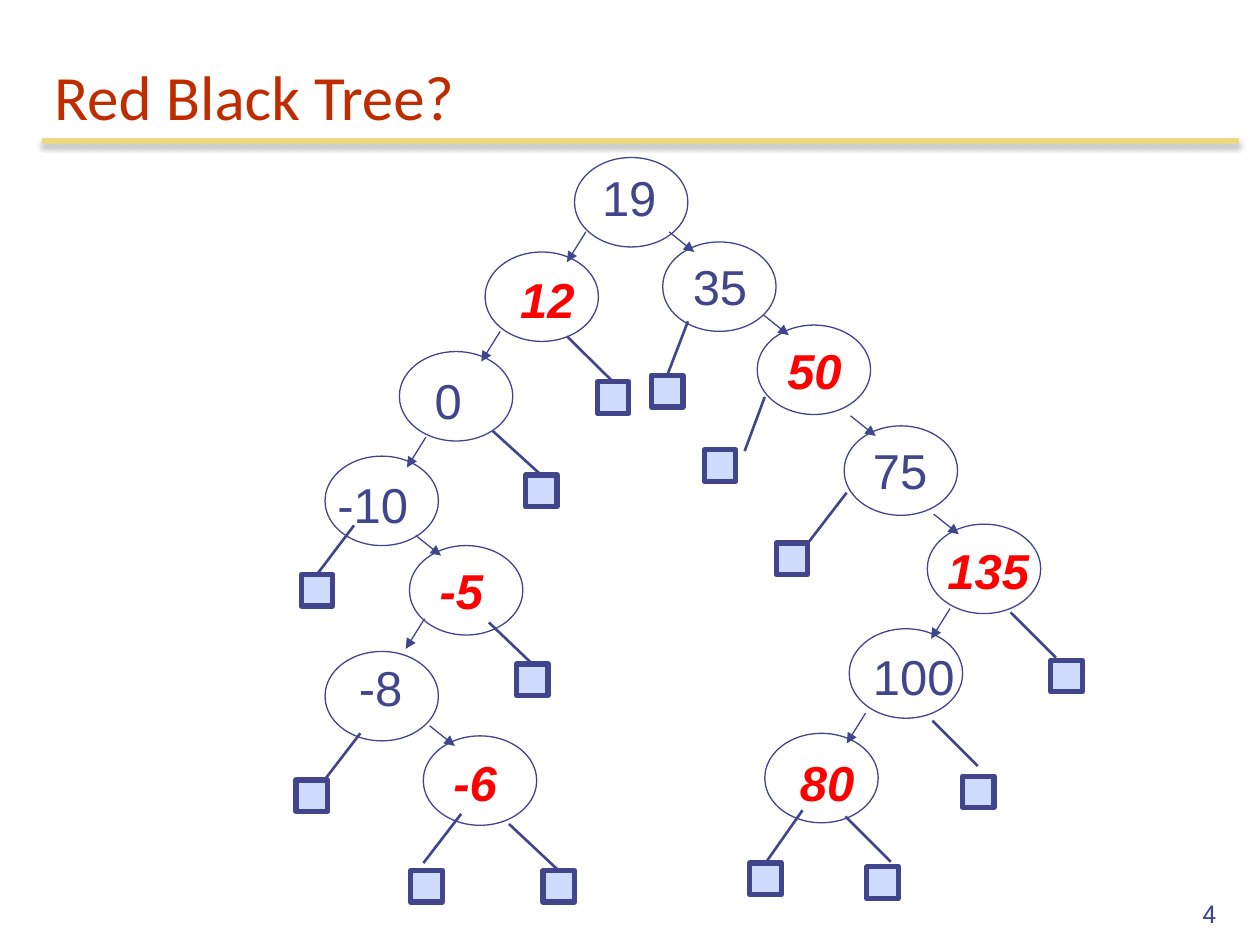
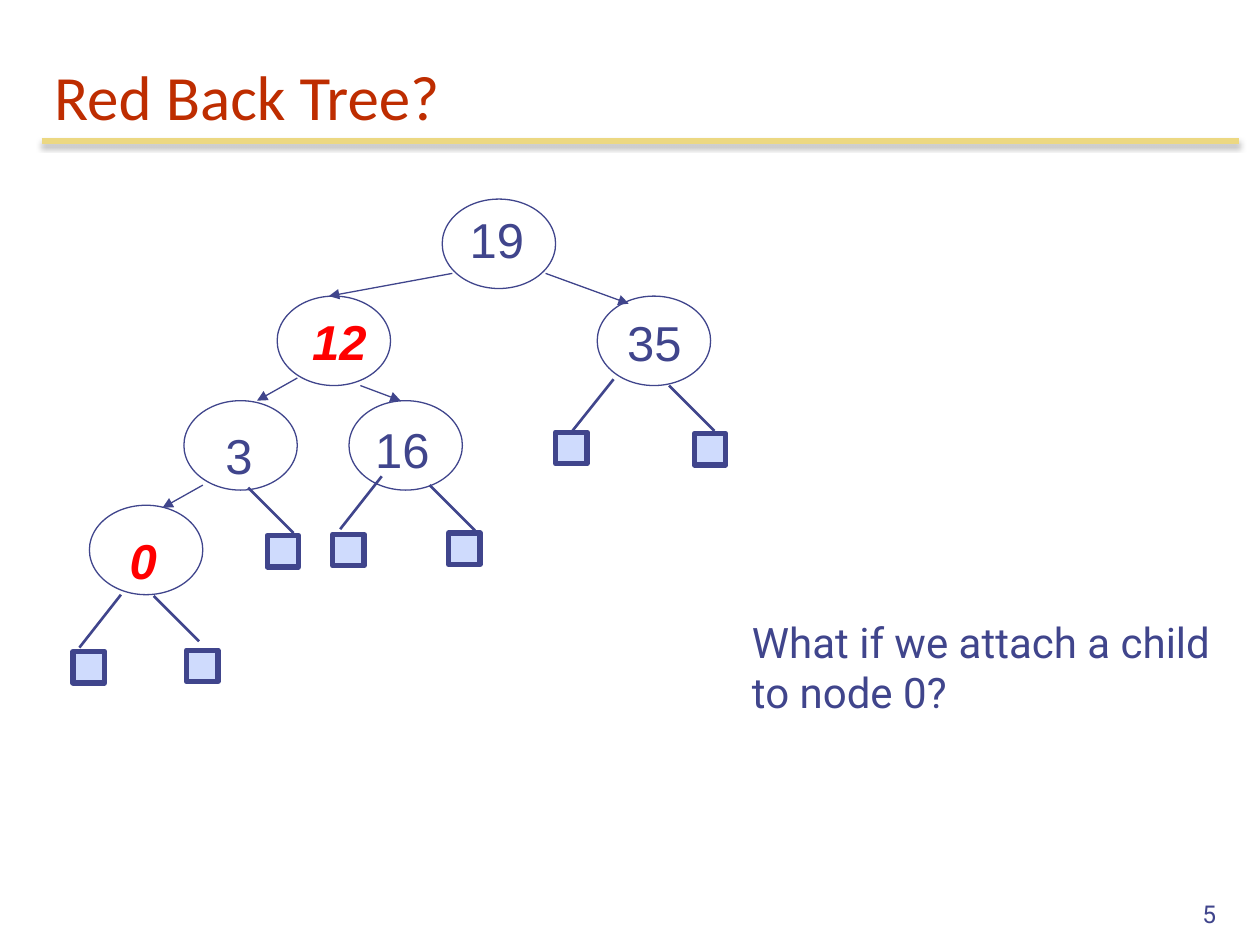
from dataclasses import dataclass

from lxml import etree
from pptx import Presentation
from pptx.dml.color import RGBColor
from pptx.enum.shapes import MSO_CONNECTOR, MSO_SHAPE
from pptx.enum.text import MSO_ANCHOR, MSO_AUTO_SIZE, PP_ALIGN
from pptx.oxml.ns import qn
from pptx.util import Inches, Pt

LINE = MSO_CONNECTOR.STRAIGHT
OVAL, RECT = MSO_SHAPE.OVAL, MSO_SHAPE.RECTANGLE
BOTTOM, TOP = MSO_ANCHOR.BOTTOM, MSO_ANCHOR.TOP
LEFT, RIGHT = PP_ALIGN.LEFT, PP_ALIGN.RIGHT
GROW = MSO_AUTO_SIZE.SHAPE_TO_FIT_TEXT


@dataclass(frozen=True)
class Style:
    """Colour, font name, size, and weight of a piece of text."""
    color: str
    font: str
    size: int
    strong: bool = False


class Theme:
    """Colours, text styles, line widths and sizes shared by the slides."""
    ink, leaf, rule = "40458C", "CFDBFD", "ECD882"
    title = Style("BE2D00", "Calibri", 36)
    black = Style(ink, "Arial", 28)
    red = Style("FF0000", "Arial", 28, True)
    note = Style(ink, "Roboto", 24)
    page = Style(ink, "Roboto", 14)
    thin, mid, thick = 0.75, 1.5, 3
    oval, square = (0.9, 0.71), 0.25
    down_left, down_right = (-0.15, 0.24), (0.2, 0.16)


def paint(line, color, width):
    """Set the colour and width of a line."""
    line.color.rgb = RGBColor.from_string(color)
    line.width = Pt(width)


def write(frame, text, style, align=LEFT, anchor=TOP):
    """Fill a text frame with one paragraph, run by run."""
    frame.vertical_anchor = anchor
    para = frame.paragraphs[0]
    para.alignment = align
    for count, part in enumerate(text.split("\n")):
        if count:
            para.add_line_break()
        run = para.add_run()
        run.text = part
        font = run.font
        font.name, font.size = style.font, Pt(style.size)
        font.color.rgb = RGBColor.from_string(style.color)
        font.bold = font.italic = style.strong


def label(slide, text, spot, style):
    """Add a text box that grows with its text and does not wrap."""
    box = slide.shapes.add_textbox(*map(Inches, spot))
    box.text_frame.word_wrap = False
    box.text_frame.auto_size = GROW
    write(box.text_frame, text, style)


def shape(slide, kind, spot):
    """Add a shape with an ink outline and no shadow or fill."""
    item = slide.shapes.add_shape(kind, *map(Inches, spot))
    item.shadow.inherit = False
    item.fill.background()
    paint(item.line, Theme.ink, Theme.thin)
    return item


def link(slide, start, end, color, width, arrow=False):
    """Add a straight line, with an arrowhead if asked."""
    line = slide.shapes.add_connector(LINE, *map(Inches, (*start, *end)))
    paint(line.line, color, width)
    props = line.element.spPr
    if arrow:
        etree.SubElement(props.find(qn("a:ln")), qn("a:tailEnd"), type="triangle")
    etree.SubElement(props, qn("a:effectLst"))
    return line


def node(slide, text, left, top, text_left, text_top, text_width, style=Theme.black):
    """Add an oval tree node and its key."""
    shape(slide, OVAL, (left, top, *Theme.oval))
    label(slide, text, (text_left, text_top, text_width, 0.57), style)


def shift(start, step):
    """Return the point one step away from the start."""
    return start[0] + step[0], start[1] + step[1]


def arrows(slide, step, *starts):
    """Add arrows that all take the same step."""
    for start in starts:
        link(slide, start, shift(start, step), Theme.ink, Theme.thin, True)


def twigs(slide, step, *pairs):
    """Add leaf squares, each with a line that takes the same step."""
    side = Theme.square
    for start, spot in pairs:
        leaf = shape(slide, RECT, (*spot, side, side))
        leaf.fill.solid()
        leaf.fill.fore_color.rgb = RGBColor.from_string(Theme.leaf)
        leaf.line.width = Pt(Theme.thick)
        end = shift(start, step)
        line = link(slide, start, end, Theme.ink, Theme.mid)
        if max(abs(end[0] - spot[0] - side / 2), abs(end[1] - spot[1])) < 0.035:
            line.end_connect(leaf, 0)


def shade(line):
    """Give a line a soft shadow below it."""
    effects = line.element.spPr.find(qn("a:effectLst"))
    shadow = etree.SubElement(effects, qn("a:outerShdw"), blurRad=str(Pt(3.1)),
                              dist=str(Pt(1.8)), dir="5400000", rotWithShape="0")
    color = etree.SubElement(shadow, qn("a:srgbClr"), val="000000")
    etree.SubElement(color, qn("a:alpha"), val="35000")


def start_slide(deck, title, page):
    """Add a slide with its title, rule and page number."""
    slide = deck.slides.add_slide(deck.slide_layouts[5])
    head = slide.shapes.title
    head.left, head.top, head.width, head.height = map(Inches, (0.33, 0.33, 9.5, 0.78))
    write(head.text_frame, title, Theme.title, anchor=BOTTOM)
    shade(link(slide, (0.33, 1.12), (9.83, 1.12), Theme.rule, Theme.thick))
    foot = slide.shapes.add_textbox(*map(Inches, (7.67, 6.92, 2.08, 0.5)))
    foot.text_frame.word_wrap = True
    write(foot.text_frame, page, Theme.page, RIGHT, BOTTOM)
    return slide


def large_tree(deck):
    """Build the slide with the large tree."""
    slide = start_slide(deck, "Red Black Tree?", "4")
    red = Theme.red
    for row in (
        ("19", 4.56, 1.25, 4.68, 1.28, 0.63),
        ("12", 3.85, 2, 4.03, 2.09, 0.64, red),
        ("35", 5.26, 1.92, 5.4, 1.99, 0.64),
        ("0", 3.17, 2.79, 3.35, 2.89, 0.42),
        ("-10", 2.58, 3.62, 2.58, 3.72, 0.77),
        ("-5", 3.25, 4.33, 3.39, 4.4, 0.55, red),
        ("-8", 2.58, 5.17, 2.75, 5.17, 0.55),
        ("-6", 3.36, 5.84, 3.5, 5.92, 0.55, red),
        ("50", 6.01, 2.58, 6.15, 2.65, 0.64, red),
        ("75", 6.7, 3.38, 6.83, 3.45, 0.64),
        ("135", 7.36, 4.16, 7.42, 4.24, 0.85, red),
        ("100", 6.74, 4.99, 6.83, 5.08, 0.85),
        ("80", 6.07, 5.82, 6.25, 5.92, 0.64, red),
    ):
        node(slide, *row)
    arrows(slide, Theme.down_left, (4.65, 1.84), (3.97, 2.63), (3.38, 3.47),
           (3.37, 4.91), (7.54, 4.83), (6.87, 5.66))
    arrows(slide, Theme.down_right, (5.31, 1.84), (3.3, 4.25), (3.41, 5.76),
           (6.06, 2.5), (6.75, 3.3), (7.41, 4.08))
    twigs(slide, (0.36, 0.36),
          ((4.5, 2.67), (4.74, 3.03)), ((3.91, 3.42), (4.17, 3.77)),
          ((3.88, 4.94), (4.1, 5.27)), ((4.04, 6.54), (4.31, 6.91)),
          ((6.71, 6.48), (6.88, 6.88)), ((7.4, 5.72), (7.64, 6.16)),
          ((8.02, 4.86), (8.34, 5.24)))
    twigs(slide, (-0.16, 0.43),
          ((5.46, 2.55), (5.17, 2.98)), ((6.07, 3.15), (5.59, 3.57)))
    twigs(slide, (-0.3, 0.39),
          ((6.72, 3.91), (6.16, 4.31)), ((6.37, 6.43), (5.95, 6.85)),
          ((3.66, 6.46), (3.26, 6.91)), ((2.86, 5.82), (2.35, 6.19)),
          ((2.81, 4.17), (2.39, 4.56)))


def small_tree(deck):
    """Build the slide with the small tree and its question."""
    slide = start_slide(deck, "Red Back Tree?", "5")
    red = Theme.red
    for row in (
        ("19", 3.51, 1.58, 3.63, 1.61, 0.63),
        ("12", 2.2, 2.35, 2.38, 2.42, 0.64, red),
        ("35", 4.74, 2.35, 4.88, 2.43, 0.64),
        ("3", 1.46, 3.18, 1.69, 3.33, 0.42),
        ("16", 2.77, 3.18, 2.88, 3.28, 0.64),
        ("0", 0.71, 4.01, 0.93, 4.16, 0.42, red),
    ):
        node(slide, *row)
    arrows(slide, (-0.98, 0.18), (3.59, 2.17))
    arrows(slide, (0.66, 0.24), (4.33, 2.17))
    arrows(slide, (-0.32, 0.18), (2.36, 3), (1.61, 3.85))
    arrows(slide, (0.32, 0.12), (2.86, 3.06))
    twigs(slide, (0.36, 0.36),
          ((5.31, 3.06), (5.51, 3.44)), ((3.41, 3.85), (3.56, 4.23)),
          ((1.97, 3.87), (2.12, 4.25)), ((1.22, 4.73), (1.48, 5.16)))
    twigs(slide, (-0.33, 0.42),
          ((4.87, 3.01), (4.41, 3.43)), ((3.03, 3.78), (2.64, 4.24)),
          ((0.96, 4.72), (0.58, 5.17)))
    label(slide, "What if we attach a child\nto node 0?", (5.87, 4.84, 3.9, 0.91), Theme.note)


def main():
    """Build and save the deck."""
    deck = Presentation()
    deck.slide_width, deck.slide_height = Inches(10), Inches(7.5)
    large_tree(deck)
    small_tree(deck)
    deck.save("out.pptx")


if __name__ == "__main__":
    main()
